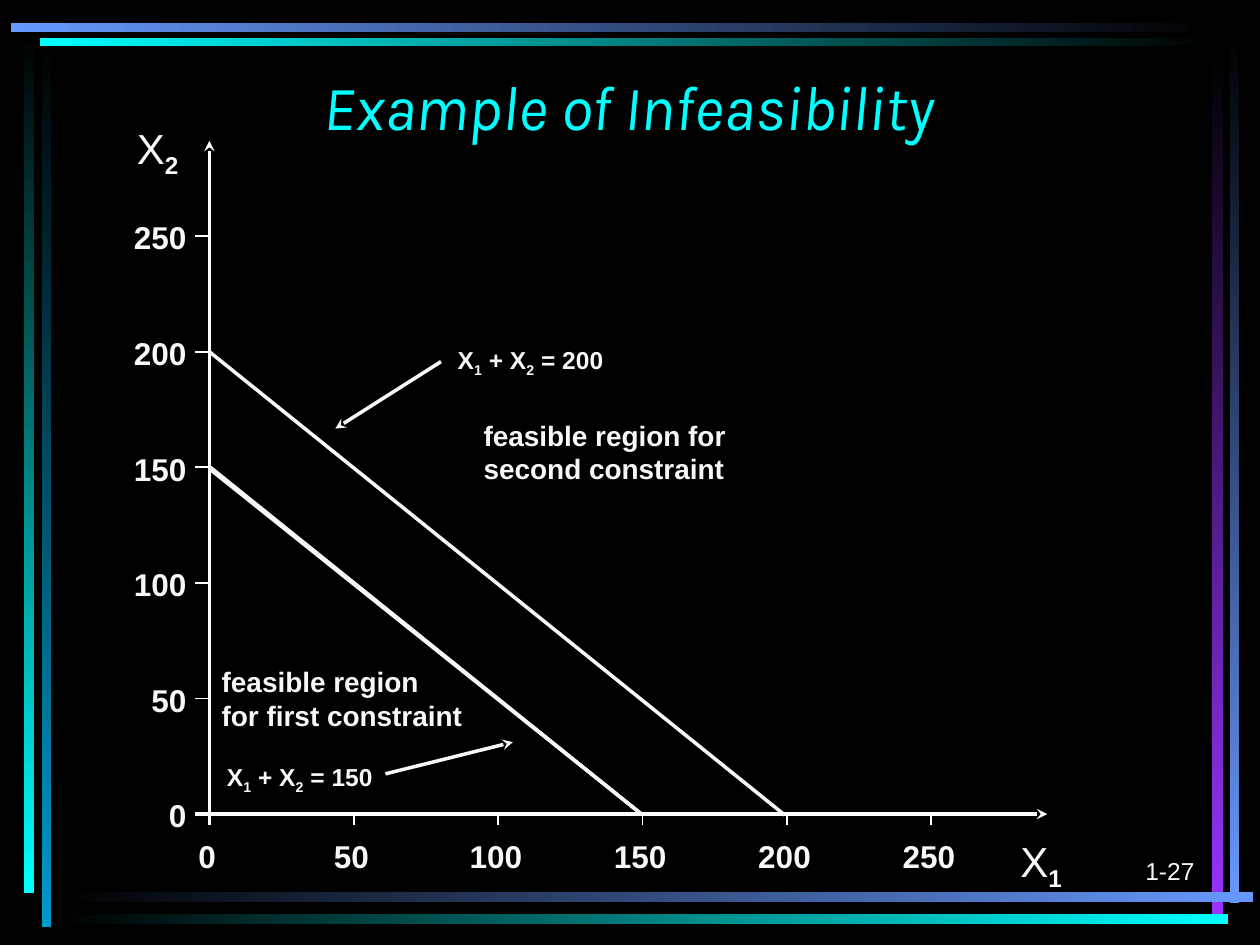
"""Builds the slide that graphs two conflicting constraints."""
from lxml import etree
from pptx import Presentation
from pptx import util as u
from pptx.dml.color import RGBColor
from pptx.enum import shapes, text
from pptx.oxml.ns import qn

BLACK, WHITE, PALE = "000000", "FFFFFF", "F8F8F8"
CYAN, BLUE, SKY, PURPLE = "00FFFF", "6699FF", "0099CC", "9933FF"
LEFT, CENTRE, RIGHT = text.PP_ALIGN.LEFT, text.PP_ALIGN.CENTER, text.PP_ALIGN.RIGHT
TOP, MIDDLE, BOTTOM = text.MSO_ANCHOR.TOP, text.MSO_ANCHOR.MIDDLE, text.MSO_ANCHOR.BOTTOM

ACROSS, DOWN = 0, 270
BARS = [
    ((0.84, 0.71, 0.2, 17.98), BLACK, SKY, DOWN),
    ((0.48, 0.64, 0.2, 17.37), BLACK, CYAN, DOWN),
    ((24.79, 0.61, 0.18, 17.6), BLACK, BLUE, DOWN),
    ((24.43, 1.07, 0.23, 17.35), BLACK, PURPLE, DOWN),
    ((1.14, 17.98, 24.13, 0.2), BLACK, BLUE, ACROSS),
    ((1.14, 18.42, 23.62, 0.2), BLACK, CYAN, ACROSS),
    ((0.81, 0.77, 23.67, 0.15), CYAN, BLACK, ACROSS),
    ((0.22, 0.47, 24.28, 0.18), BLUE, BLACK, ACROSS),
]

ORIGIN_X, ORIGIN_Y = 4.22, 16.41
STEP_X, STEP_Y = 2.91, 2.33
TICK_X, TICK_Y = 0.28, 0.23
TICK_VALUES = ["0", "50", "100", "150", "200", "250"]
LABEL_W, LABEL_H = 1.57, 1.02

AXES = [
    ((3.94, ORIGIN_Y), (21.11, ORIGIN_Y)),
    ((ORIGIN_X, ORIGIN_Y + TICK_Y), (ORIGIN_X, 2.84)),
]
CONSTRAINTS = [
    ((12.93, 16.41), (4.24, 9.42)),
    ((15.82, 16.43), (4.22, 7.09)),
    ((12.93, 16.41), (4.22, 9.45)),
]
POINTERS = [((8.89, 7.29), (6.76, 8.64)), ((7.77, 15.6), (10.34, 14.96))]

TITLE = {"size": u.Pt(36), "name": "Karla", "italic": True}
NUMBER = {"size": u.Pt(14), "name": "Arial"}
VARIABLE = {"size": u.Pt(24), "name": "Arial"}
VALUE = {"size": u.Pt(18), "name": "Arial", "bold": True}
EQUATION = {"size": u.Pt(14), "name": "Arial", "bold": True}
REGION = {"size": u.Pt(16), "name": "Arial", "bold": True}

WORDING = [
    (["1-27"], (19.05, 16.71, 5.28, 1.27), NUMBER, RIGHT, BOTTOM),
    (["X", "2"], (2.51, 2.34, 2.74, 1.42), VARIABLE, LEFT, TOP),
    (["X", "1"], (20.32, 16.71, 1.7, 1.42), VARIABLE, LEFT, TOP),
    (["X", "1", " + X", "2", " = 200"], (8.28, 6.83, 4.83, 0.94), EQUATION, CENTRE, TOP),
    (["X", "1", " + X", "2", " = 150"], (3.63, 15.24, 4.83, 0.94), EQUATION, CENTRE, TOP),
    (["feasible region for second constraint"], (9.5, 8.31, 6.02, 1.6), REGION, LEFT, TOP),
    (["feasible region for first constraint"], (4.22, 13.28, 5.35, 1.6), REGION, LEFT, TOP),
]


def rgb(colour):
    return RGBColor.from_string(colour)


def cm(lengths):
    return [u.Cm(length) for length in lengths]


def add_bar(slide, frame, start, end, angle):
    bar = slide.shapes.add_shape(shapes.MSO_SHAPE.RECTANGLE, *cm(frame))
    bar.shadow.inherit = False
    bar.line.fill.background()
    bar.fill.gradient()
    bar.fill.gradient_angle = angle
    for stop, colour in zip(bar.fill.gradient_stops, (start, end)):
        stop.color.rgb = rgb(colour)


def add_line(slide, start, end, colour=WHITE, width=2, arrow=False):
    line = slide.shapes.add_connector(shapes.MSO_CONNECTOR.STRAIGHT, *cm(start + end))
    line.line.color.rgb = rgb(colour)
    line.line.width = u.Pt(width)
    if arrow:
        etree.SubElement(line.line._get_or_add_ln(), qn("a:tailEnd"), type="stealth")
    etree.SubElement(line._element.spPr, qn("a:effectLst"))


def add_text(slide, parts, frame, font, align, anchor=TOP, wrap=True, colour=PALE, spacing=1.0):
    """Writes the parts in one paragraph, with every second part as a subscript."""
    box = slide.shapes.add_textbox(*cm(frame)).text_frame
    box.word_wrap, box.vertical_anchor = wrap, anchor
    paragraph = box.paragraphs[0]
    paragraph.alignment, paragraph.line_spacing = align, spacing
    for index, part in enumerate(parts):
        run = paragraph.add_run()
        run.text = part
        for attribute, value in font.items():
            setattr(run.font, attribute, value)
        run.font.color.rgb = rgb(colour)
        if index % 2:
            run.font.bold = True
            run._r.get_or_add_rPr().set("baseline", "-25000")


def add_scales(slide):
    for index, value in enumerate(TICK_VALUES):
        x, y = ORIGIN_X + index * STEP_X, ORIGIN_Y - index * STEP_Y
        if index:
            add_line(slide, (x, ORIGIN_Y), (x, ORIGIN_Y + TICK_Y), width=1)
            add_line(slide, (ORIGIN_X, y), (ORIGIN_X - TICK_X, y), width=1)
        add_text(slide, [value], (x - 0.83, 16.74, LABEL_W, LABEL_H), VALUE, CENTRE, wrap=False)
        add_text(slide, [value], (2.44, y - 0.48, LABEL_W, LABEL_H), VALUE, RIGHT, wrap=False)


def main():
    deck = Presentation()
    deck.slide_width, deck.slide_height = cm((25.4, 19.05))
    slide = deck.slides.add_slide(deck.slide_layouts[6])
    slide.background.fill.solid()
    slide.background.fill.fore_color.rgb = rgb(BLACK)

    for bar in BARS:
        add_bar(slide, *bar)
    add_text(slide, ["Example of Infeasibility"], (3.12, 1.42, 19.1, 1.7), TITLE, CENTRE,
             MIDDLE, colour=CYAN, spacing=0.8)
    for axis in AXES:
        add_line(slide, *axis, arrow=True)
    add_scales(slide)
    for constraint in CONSTRAINTS:
        add_line(slide, *constraint, colour=PALE)
    for pointer in POINTERS:
        add_line(slide, *pointer, colour=PALE, arrow=True)
    for wording in WORDING:
        add_text(slide, *wording)
    deck.save("out.pptx")


if __name__ == "__main__":
    main()
